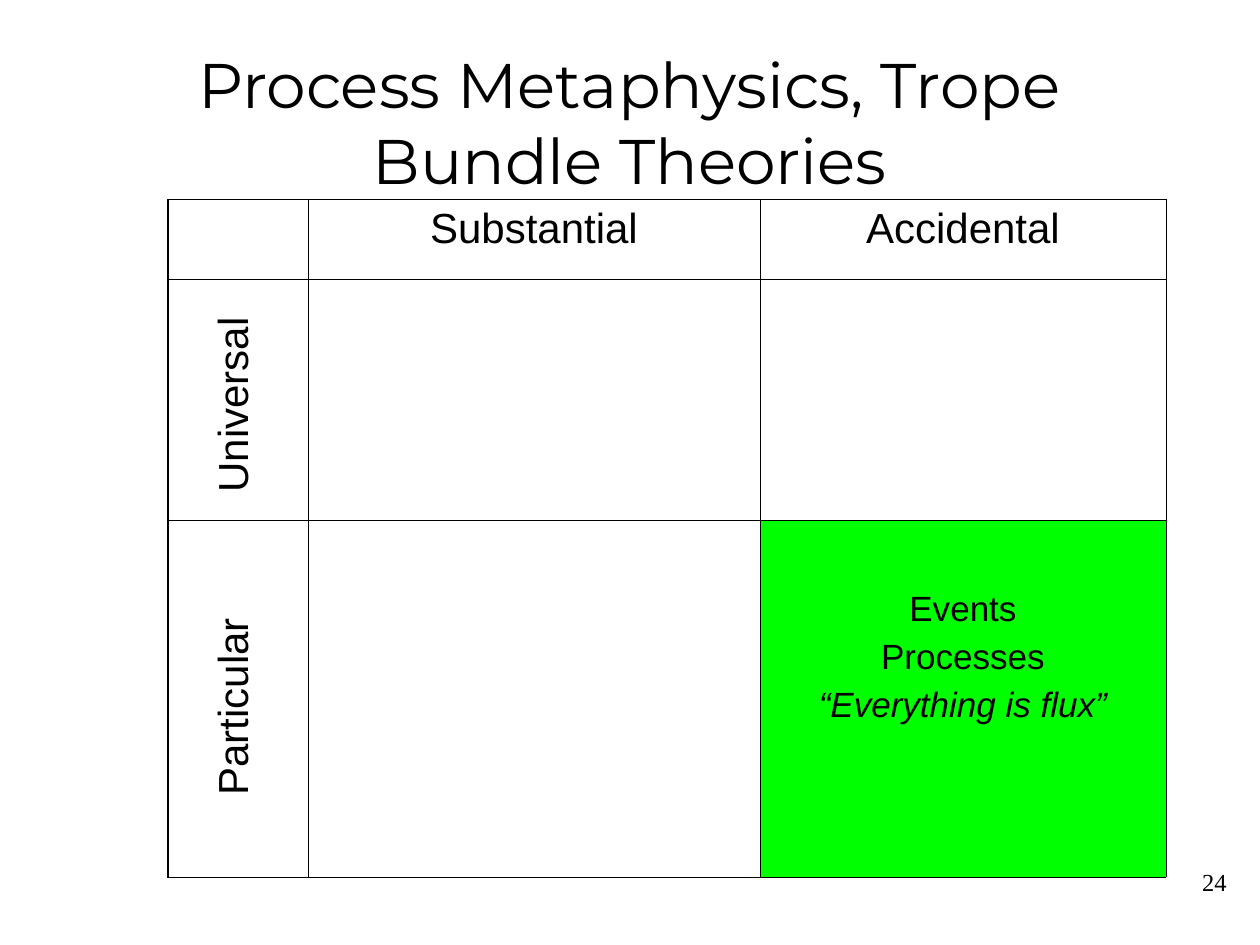
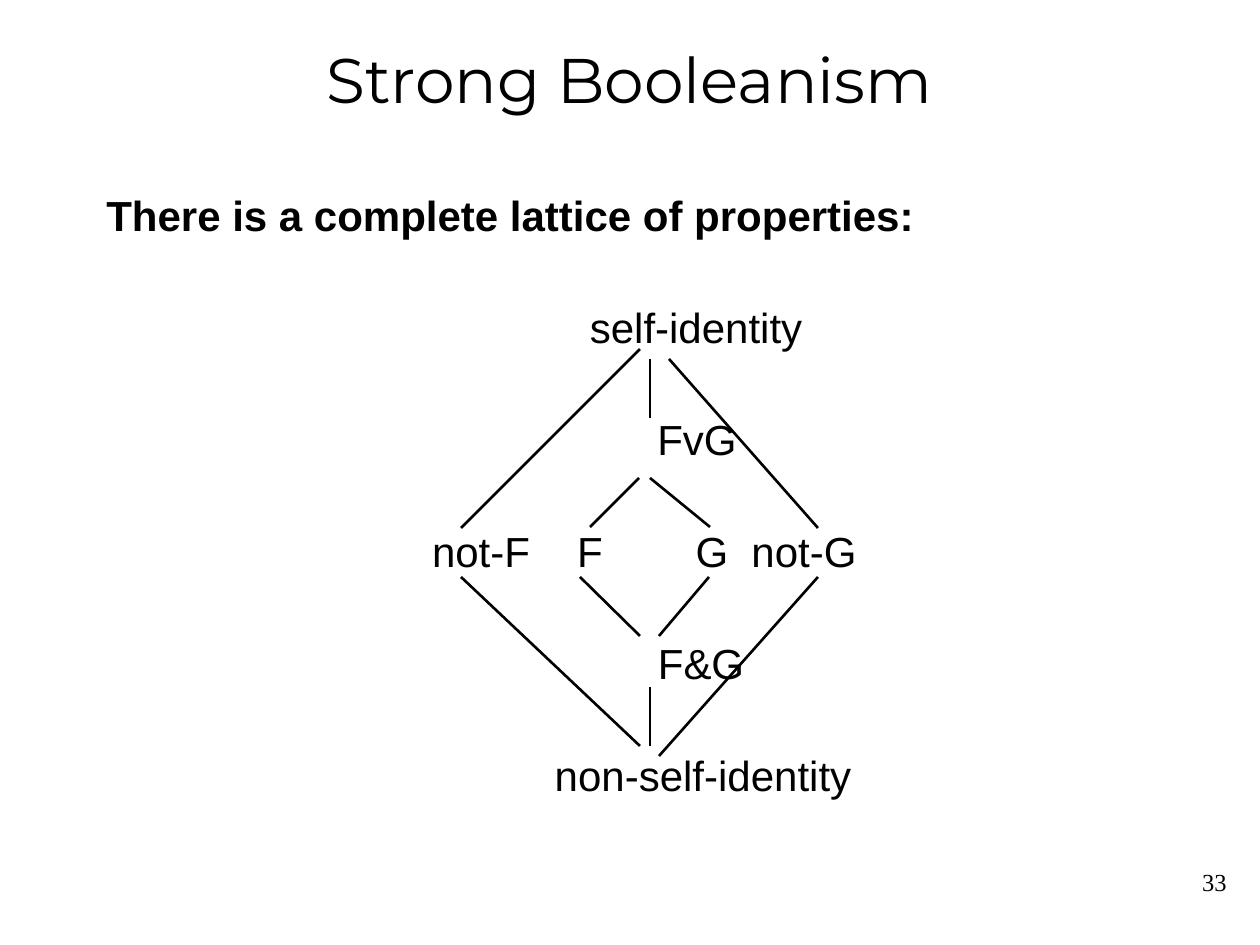
from dataclasses import dataclass

import pptx
import pptx.dml.color
import pptx.enum.shapes
import pptx.enum.text
import pptx.oxml
import pptx.oxml.ns
import pptx.util

ALIGN = pptx.enum.text.PP_ALIGN
ANCHOR = pptx.enum.text.MSO_ANCHOR


@dataclass(frozen=True)
class Theme:
    ink: str = "000000"
    highlight: str = "00FF00"
    title_font: str = "Montserrat"
    body_font: str = "Arial"
    number_font: str = "Times New Roman"
    title_pt: int = 36
    body_pt: int = 24
    cell_pt: int = 20
    number_pt: int = 14
    line_pt: float = 1.5
    edge_pt: float = 1.08
    grid_pt: float = 0.45


THEME = Theme()


def px(n):
    """Turn px (126 to the inch) into EMU."""
    return pptx.util.Emu(round(n * 914400 / 126))


def rgb(color):
    return pptx.dml.color.RGBColor.from_string(color)


def style(p, size=THEME.body_pt, font=THEME.body_font, align=ALIGN.LEFT, bold=False):
    p.alignment = align
    for r in p.runs:
        r.font.size = pptx.util.Pt(size)
        r.font.name = font
        r.font.bold = bold
        r.font.color.rgb = rgb(THEME.ink)


def add_text(s, text, box, anchor=ANCHOR.TOP, **look):
    sp = s.shapes.add_textbox(*map(px, box))
    tf = sp.text_frame
    tf.word_wrap = True
    tf.vertical_anchor = anchor
    tf.text = text
    style(tf.paragraphs[0], **look)
    return sp


def add_line(s, x1, y1, x2, y2):
    cn = s.shapes.add_connector(
        pptx.enum.shapes.MSO_CONNECTOR.STRAIGHT, px(x1), px(y1), px(x2), px(y2))
    cn.line.color.rgb = rgb(THEME.ink)
    cn.line.width = pptx.util.Pt(THEME.line_pt)
    sp_pr = cn._element.find(pptx.oxml.ns.qn("p:spPr"))
    sp_pr.append(pptx.oxml.parse_xml(
        f'<a:effectLst {pptx.oxml.ns.nsdecls("a")}/>'))


def add_border(cell, side, width):
    cell._tc.get_or_add_tcPr().append(pptx.oxml.parse_xml(
        f'<a:ln{side} {pptx.oxml.ns.nsdecls("a")} w="{round(width * 12700)}">'
        f'<a:solidFill><a:srgbClr val="{THEME.ink}"/></a:solidFill></a:ln{side}>'))


# Title and page number, shared by all slides
def add_base(prs, title, title_box, number):
    s = prs.slides.add_slide(prs.slide_layouts[6])
    add_text(s, title, title_box, anchor=ANCHOR.MIDDLE, size=THEME.title_pt,
             font=THEME.title_font, align=ALIGN.CENTER)
    add_text(s, str(number), (977, 861, 262, 63), size=THEME.number_pt,
             font=THEME.number_font, align=ALIGN.RIGHT)
    return s


# Two-by-two table of categories
def add_category_square(s, box):
    left, top, _, _ = box
    col_widths, row_heights = (140, 452, 406), (80, 241, 357)
    last_row, last_col = len(row_heights) - 1, len(col_widths) - 1
    table = s.shapes.add_table(last_row + 1, last_col + 1, *map(px, box)).table
    table.first_row = table.horz_banding = False
    for column, width in zip(table.columns, col_widths):
        column.width = px(width)
    for row, height in zip(table.rows, row_heights):
        row.height = px(height)

    # Thin grid with a heavier left edge
    for i in range(last_row + 1):
        for j in range(last_col + 1):
            cell = table.cell(i, j)
            for side in "LRTB":
                on_edge = side == "L" and j == 0
                add_border(cell, side, THEME.edge_pt if on_edge else THEME.grid_pt)
            cell.fill.background()

    # Column headings
    for j, heading in enumerate(("Substantial", "Accidental"), start=1):
        tf = table.cell(0, j).text_frame
        tf.text = heading
        style(tf.paragraphs[0], align=ALIGN.CENTER)

    # Row headings, reading upwards
    for heading, y in (("Universal", 168), ("Particular", 471)):
        sp = add_text(s, heading, (left - 43, top + y, 213, 63))
        sp.rotation = 270

    # Highlighted category
    cell = table.cell(last_row, last_col)
    cell.fill.solid()
    cell.fill.fore_color.rgb = rgb(THEME.highlight)
    cell.margin_top = px(70)
    tf = cell.text_frame
    tf.text = "Events\nProcesses\n“Everything is flux”"
    for k, p in enumerate(tf.paragraphs):
        style(p, size=THEME.cell_pt, align=ALIGN.CENTER)
        if k:
            p.space_before = pptx.util.Pt(5)
    tf.paragraphs[-1].runs[0].font.italic = True


# Lattice of properties
def add_lattice(s, left, top):
    row_pitch, node_height = 112, 50
    # label, centre, row, width
    nodes = (
        ("self-identity", 276, 0, 236),
        ("FvG", 277, 1, 104),
        ("not-F", 61, 2, 118),
        ("F", 170, 2, 40),
        ("G", 292, 2, 44),
        ("not-G", 384, 2, 122),
        ("F&G", 281, 3, 108),
        ("non-self-identity", 283, 4, 320),
    )
    edges = (
        (219, 178, 170, 227),  # FvG to F
        (230, 178, 290, 227),  # FvG to G
        (160, 277, 220, 336),  # F to F&G
        (289, 277, 239, 336),  # G to F&G
        (230, 59, 230, 118),   # self-identity to FvG
        (230, 387, 230, 446),  # F&G to non-self-identity
        (220, 49, 41, 228),    # self-identity to not-F
        (249, 59, 398, 228),   # self-identity to not-G
        (41, 277, 220, 446),   # not-F to non-self-identity
        (398, 277, 239, 456),  # not-G to non-self-identity
    )
    for label, centre, row, width in nodes:
        box = (left + centre - width // 2, top + 2 + row * row_pitch, width, node_height)
        tf = add_text(s, label, box, anchor=ANCHOR.MIDDLE, align=ALIGN.CENTER).text_frame
        tf.margin_left = tf.margin_right = tf.margin_top = tf.margin_bottom = 0
    for x1, y1, x2, y2 in edges:
        add_line(s, left + x1, top + y1, left + x2, top + y2)


def main():
    prs = pptx.Presentation()
    prs.slide_width, prs.slide_height = px(1260), px(945)

    s = add_base(prs, "Process Metaphysics, Trope Bundle Theories", (94, 85, 1071, 73), 24)
    add_category_square(s, (168, 199, 998, 678))

    s = add_base(prs, "Strong Booleanism", (94, 0, 1071, 157), 33)
    add_text(s, "There is a complete lattice of properties:", (94, 183, 1071, 60), bold=True)
    add_lattice(s, 420, 300)

    prs.save("out.pptx")


if __name__ == "__main__":
    main()
